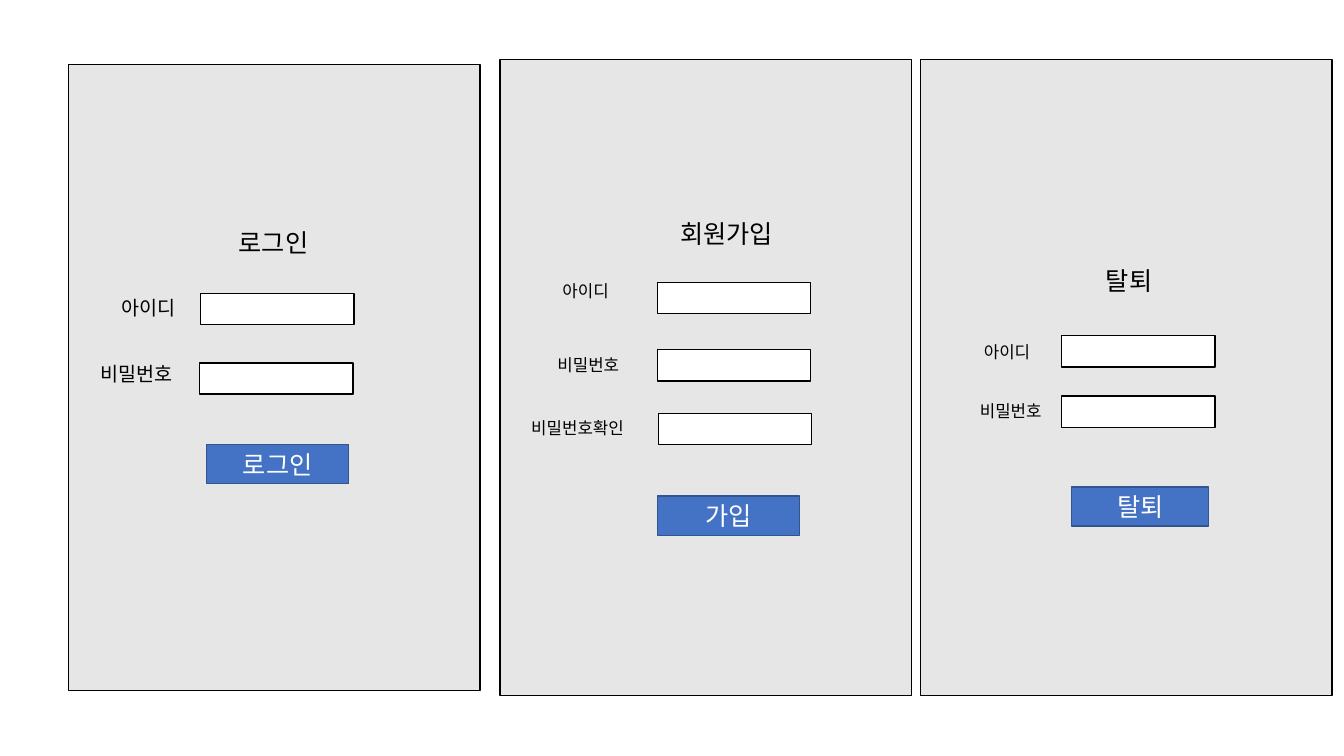
from dataclasses import dataclass

import pptx
import pptx.dml.color
import pptx.enum.shapes
import pptx.enum.text
import pptx.oxml.ns
import pptx.util
from lxml import etree

RGB = pptx.dml.color.RGBColor
BLACK = RGB(0x00, 0x00, 0x00)
WHITE = RGB(0xFF, 0xFF, 0xFF)
PANEL_GRAY = RGB(0xE7, 0xE6, 0xE6)
BUTTON_BLUE = RGB(0x44, 0x72, 0xC4)
BUTTON_EDGE = RGB(0x32, 0x54, 0x91)

FONT = "Noto Sans CJK KR"
EMU_PER_PX = 9144  # 100 px to the inch
PANEL_W = 408
FIELD_W, FIELD_H = 152, 31
BUTTON_H = 39
HEADING_PT = 18
LINE_HEIGHT = {12: 30, 14: 34, 18: 40}  # text box height in px by point size


@dataclass
class Label:
    text: str
    x: int
    y: int
    w: int
    indent: int = 0


@dataclass
class Field:
    label: Label
    x: int
    y: int


@dataclass
class Button:
    text: str
    x: int
    y: int
    w: int


@dataclass
class Screen:
    x: int
    y: int
    h: int
    heading: Label
    label_pt: int
    fields: list[Field]
    button: Button


SCREENS = [
    Screen(68, 64, 621, Label("로그인", 227, 221, 97), 14,
           [Field(Label("아이디", 111, 289, 97), 199, 291),
            Field(Label("비밀번호", 90, 354, 109), 198, 360)],
           Button("로그인", 205, 441, 141)),
    Screen(496, 59, 631, Label("회원가입", 665, 212, 127), 12,
           [Field(Label("아이디", 548, 274, 118), 652, 280),
            Field(Label("비밀번호", 543, 347, 109), 652, 347),
            Field(Label("비밀번호확인", 517, 410, 125), 653, 410)],
           Button("가입", 652, 492, 141)),
    Screen(913, 59, 631, Label("탈퇴", 1060, 258, 132, indent=27), 12,
           [Field(Label("아이디", 966, 334, 97), 1053, 333),
            Field(Label("비밀번호", 962, 393, 124), 1053, 393)],
           Button("탈퇴", 1063, 483, 136)),
]


def px(n: int) -> int:
    return pptx.util.Emu(n * EMU_PER_PX)


def add_run(p, text: str, size: int, color: RGB) -> None:
    r = p.add_run()
    r.text = text
    r.font.size = pptx.util.Pt(size)
    r.font.color.rgb = color
    r.font.name = FONT
    # Hangul takes the East Asian typeface
    ea = etree.SubElement(r.font._element, pptx.oxml.ns.qn("a:ea"))
    ea.set("typeface", FONT)


def add_box(s, x: int, y: int, w: int, h: int, fill: RGB, line: RGB = BLACK):
    sp = s.shapes.add_shape(pptx.enum.shapes.MSO_SHAPE.RECTANGLE,
                            px(x), px(y), px(w), px(h))
    sp.shadow.inherit = False
    sp.fill.solid()
    sp.fill.fore_color.rgb = fill
    sp.line.color.rgb = line
    sp.line.width = pptx.util.Pt(1)
    return sp


def add_label(s, label: Label, size: int) -> None:
    sp = s.shapes.add_textbox(px(label.x), px(label.y), px(label.w),
                              px(LINE_HEIGHT[size]))
    tf = sp.text_frame
    tf.word_wrap = True
    tf.auto_size = pptx.enum.text.MSO_AUTO_SIZE.SHAPE_TO_FIT_TEXT
    p = tf.paragraphs[0]
    if label.indent:
        p._p.get_or_add_pPr().set("marL", str(px(label.indent)))
    add_run(p, label.text, size, BLACK)


def add_button(s, button: Button) -> None:
    sp = add_box(s, button.x, button.y, button.w, BUTTON_H,
                 BUTTON_BLUE, BUTTON_EDGE)
    tf = sp.text_frame
    tf.vertical_anchor = pptx.enum.text.MSO_ANCHOR.MIDDLE
    p = tf.paragraphs[0]
    p.alignment = pptx.enum.text.PP_ALIGN.CENTER
    add_run(p, button.text, HEADING_PT, WHITE)


def add_screen(s, screen: Screen) -> None:
    # Panel and heading
    add_box(s, screen.x, screen.y, PANEL_W, screen.h, PANEL_GRAY)
    add_label(s, screen.heading, HEADING_PT)
    # Labelled input fields
    for field in screen.fields:
        add_label(s, field.label, screen.label_pt)
        add_box(s, field.x, field.y, FIELD_W, FIELD_H, WHITE)
    # Submit button
    add_button(s, screen.button)


def main() -> None:
    prs = pptx.Presentation()
    prs.slide_width, prs.slide_height = px(1333), px(750)
    s = prs.slides.add_slide(prs.slide_layouts[6])
    for screen in SCREENS:
        add_screen(s, screen)
    prs.save("out.pptx")


if __name__ == "__main__":
    main()
